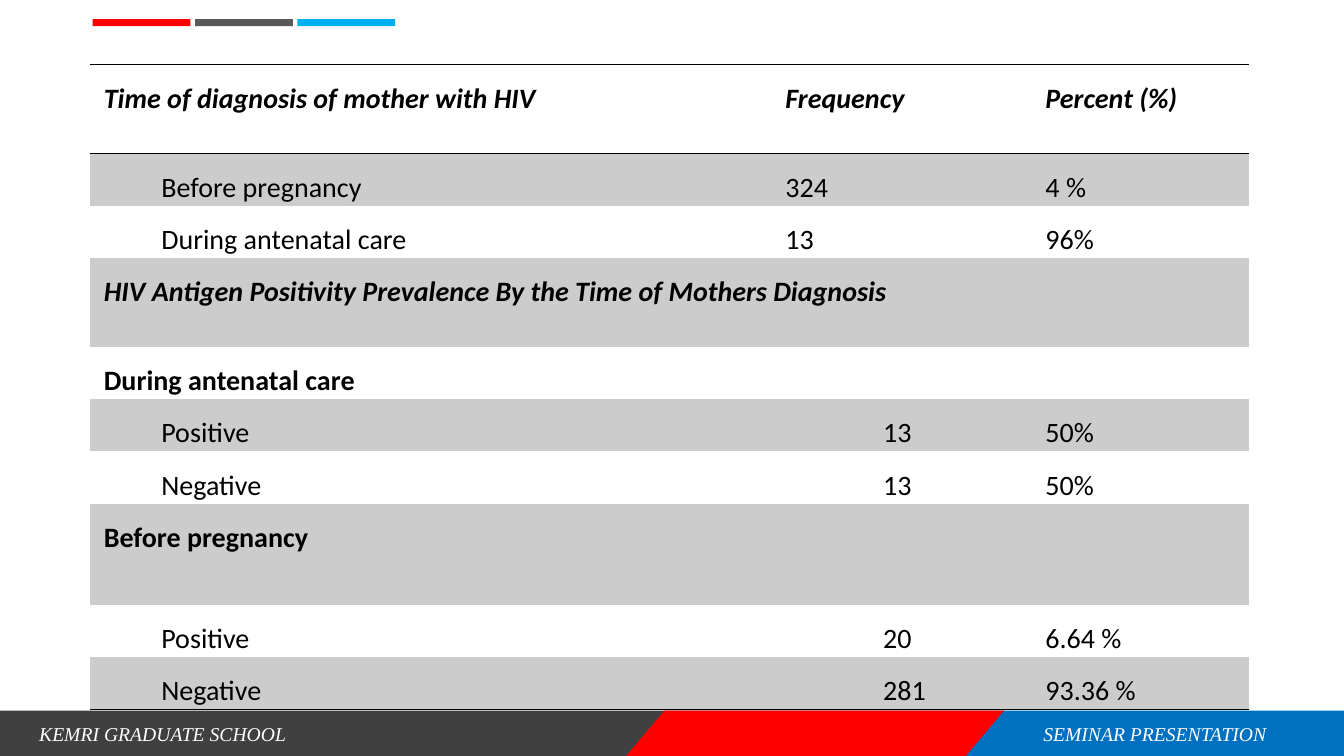
from lxml.etree import SubElement
from pptx import Presentation
from pptx.dml.color import RGBColor
from pptx.enum.shapes import MSO_SHAPE
from pptx.enum.text import MSO_ANCHOR, PP_ALIGN
from pptx.oxml.ns import qn
from pptx.util import Inches, Pt

SLIDE_W, SLIDE_H = 13.33, 7.5
COLUMNS = [6.76, 0.97, 1.61, 2.16]
PLAIN, INDENTED, BOLD, TITLE = "plain", "indented", "bold", "title"
CELL_PAD, INDENT = 0.14, 0.57

# Each row: height, label style, then (text, first column, column span)
ROWS = [
    (0.88, TITLE, [("Time of diagnosis of mother with HIV", 0, 1),
                   ("Frequency", 1, 2), ("Percent (%)", 3, 1)]),
    (0.52, INDENTED, [("Before pregnancy", 0, 1), ("324", 1, 2), ("4 %", 3, 1)]),
    (0.52, INDENTED, [("During antenatal care", 0, 1), ("13", 1, 2), ("96%", 3, 1)]),
    (0.88, TITLE, [("HIV Antigen Positivity Prevalence By the Time of Mothers Diagnosis", 0, 4)]),
    (0.52, BOLD, [("During antenatal care", 0, 2)]),
    (0.52, INDENTED, [("Positive", 0, 2), ("13", 2, 1), ("50%", 3, 1)]),
    (0.52, INDENTED, [("Negative", 0, 2), ("13", 2, 1), ("50%", 3, 1)]),
    (1.0, BOLD, [("Before pregnancy", 0, 2)]),
    (0.52, INDENTED, [("Positive", 0, 2), ("20", 2, 1), ("6.64 %", 3, 1)]),
    (0.52, INDENTED, [("Negative", 0, 2), ("281", 2, 1), ("93.36 %", 3, 1)]),
]


def rgb(color):
    return RGBColor.from_string(color)


def write(frame, text, font="Calibri", size=20, color="000000", bold=False,
          italic=False, align=PP_ALIGN.LEFT, spacing=None):
    paragraph = frame.paragraphs[0]
    paragraph.alignment = align
    paragraph.line_spacing = spacing
    run = paragraph.add_run()
    run.text = text
    run.font.name, run.font.size = font, Pt(size)
    run.font.bold, run.font.italic = bold, italic
    run.font.color.rgb = rgb(color)


def paint(shape, color):
    shape.shadow.inherit = False
    shape.fill.solid()
    shape.fill.fore_color.rgb = rgb(color)
    shape.line.fill.background()
    return shape


def add_accent_bars(slide, left, top, width, height):
    """Three bars on an equal pitch across the box."""
    bar, pitch = 0.97, (width - 0.97) / 2
    for index, color in enumerate(["FF0000", "595959", "00B0F0"]):
        paint(slide.shapes.add_shape(
            MSO_SHAPE.RECTANGLE, Inches(left + index * pitch), Inches(top),
            Inches(bar), Inches(height)), color)


def add_footer(slide, left, top, width, height):
    """Slanted bands, each overlapped by the next, with two captions."""
    slant = 0.38
    right = left + width
    red_start, blue_start = left + 6.21, left + 9.58
    bands = [(left, left, blue_start + slant, blue_start, "404040"),
             (red_start + slant, red_start, blue_start + slant, blue_start + slant, "FF0000"),
             (blue_start + slant, blue_start, right, right, "0070C0")]
    for top_left, bottom_left, top_right, bottom_right, color in bands:
        outline = slide.shapes.build_freeform(
            Inches(top_left), Inches(top))
        outline.add_line_segments([
            (Inches(top_right), Inches(top)),
            (Inches(bottom_right), Inches(top + height)),
            (Inches(bottom_left), Inches(top + height))], close=True)
        band = paint(outline.convert_to_shape(), color)

    caption = dict(font="Times New Roman", size=14, color="FFFFFF", italic=True)
    band.text_frame.vertical_anchor = MSO_ANCHOR.MIDDLE
    write(band.text_frame, "SEMINAR PRESENTATION", align=PP_ALIGN.CENTER, **caption)
    school = slide.shapes.add_textbox(
        Inches(left + 0.29), Inches(top + 0.06), Inches(4.59), Inches(0.34))
    school.text_frame.word_wrap = True
    write(school.text_frame, "KEMRI GRADUATE SCHOOL", **caption)


def set_borders(cell, ruled_sides):
    """Black 1 pt rules on the given sides (L, R, T, B), none elsewhere."""
    properties = cell._tc.get_or_add_tcPr()
    for side in "LRTB":
        border = SubElement(properties, qn(f"a:ln{side}"), w=str(Pt(1)))
        if side in ruled_sides:
            solid = SubElement(border, qn("a:solidFill"))
            SubElement(solid, qn("a:srgbClr"), val="000000")
        else:
            SubElement(border, qn("a:noFill"))


def add_diagnosis_table(slide, left, top):
    heights = [height for height, _, _ in ROWS]
    table = slide.shapes.add_table(
        len(ROWS), len(COLUMNS), Inches(left), Inches(top),
        Inches(sum(COLUMNS)), Inches(sum(heights))).table
    table.first_row = table.horz_banding = False
    for column, width in zip(table.columns, COLUMNS):
        column.width = Inches(width)

    rules = {0: "TB", 1: "T", len(ROWS) - 1: "B"}
    for index, (height, style, entries) in enumerate(ROWS):
        table.rows[index].height = Inches(height)
        for cell in table.rows[index].cells:
            set_borders(cell, rules.get(index, ""))
            cell.margin_left = cell.margin_right = Inches(CELL_PAD)
            cell.margin_top = cell.margin_bottom = 0
            if index % 2:
                cell.fill.solid()
                cell.fill.fore_color.rgb = rgb("CCCCCC")
            else:
                cell.fill.background()
        for text, first, span in entries:
            cell = table.cell(index, first)
            if span > 1:
                cell.merge(table.cell(index, first + span - 1))
            if style == INDENTED and first == 0:
                cell.margin_left = Inches(CELL_PAD + INDENT)
            write(cell.text_frame, text, bold=style in (BOLD, TITLE),
                  italic=style == TITLE, spacing=1.5)


def main():
    presentation = Presentation()
    presentation.slide_width = Inches(SLIDE_W)
    presentation.slide_height = Inches(SLIDE_H)
    slide = presentation.slides.add_slide(presentation.slide_layouts[6])
    footer_height = 0.06 * SLIDE_H
    add_footer(slide, 0, SLIDE_H - footer_height, SLIDE_W, footer_height)
    add_accent_bars(slide, 0.92, 0.19, 3.0, 0.07)
    add_diagnosis_table(slide, 0.89, 0.64)
    presentation.save("out.pptx")


if __name__ == "__main__":
    main()
